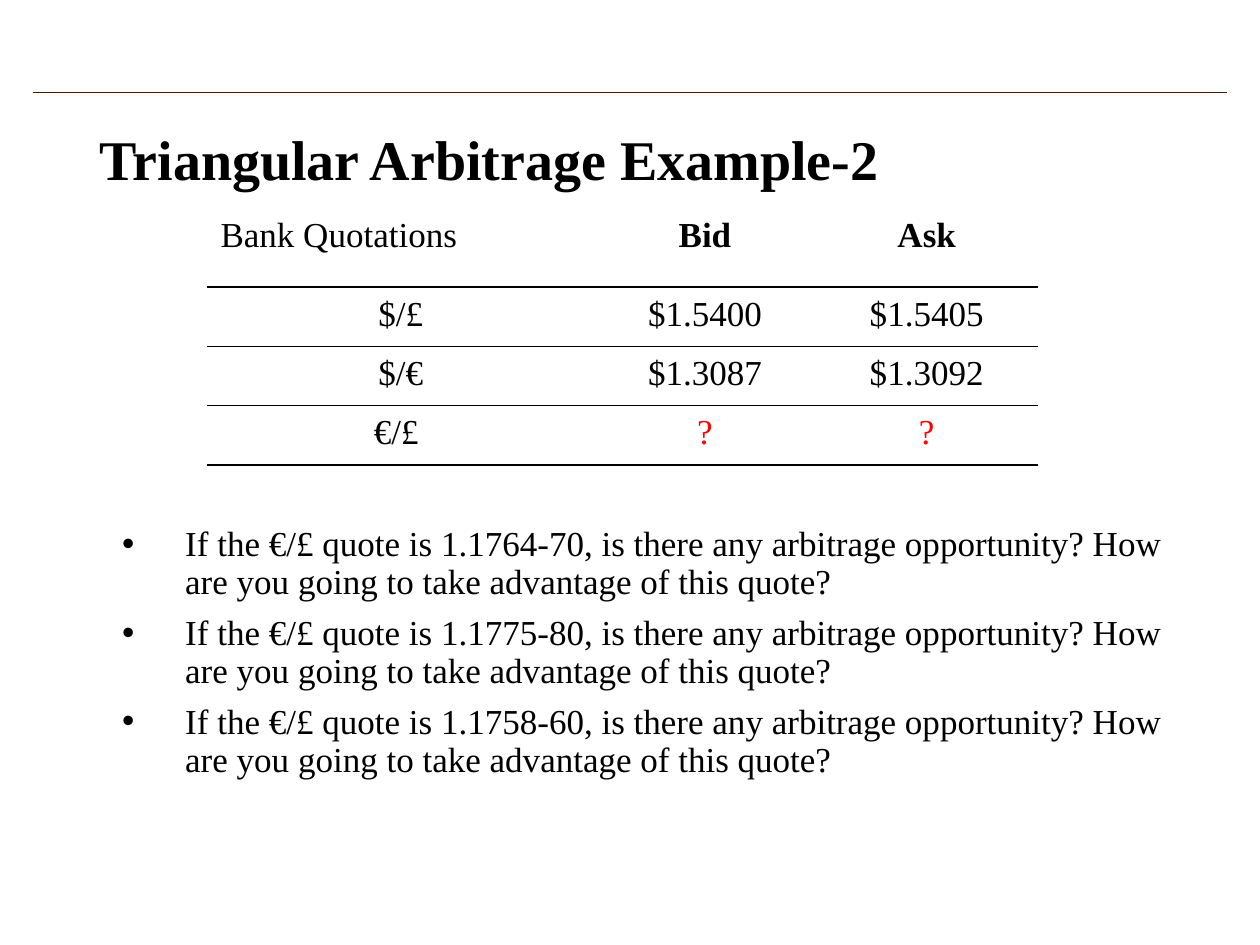
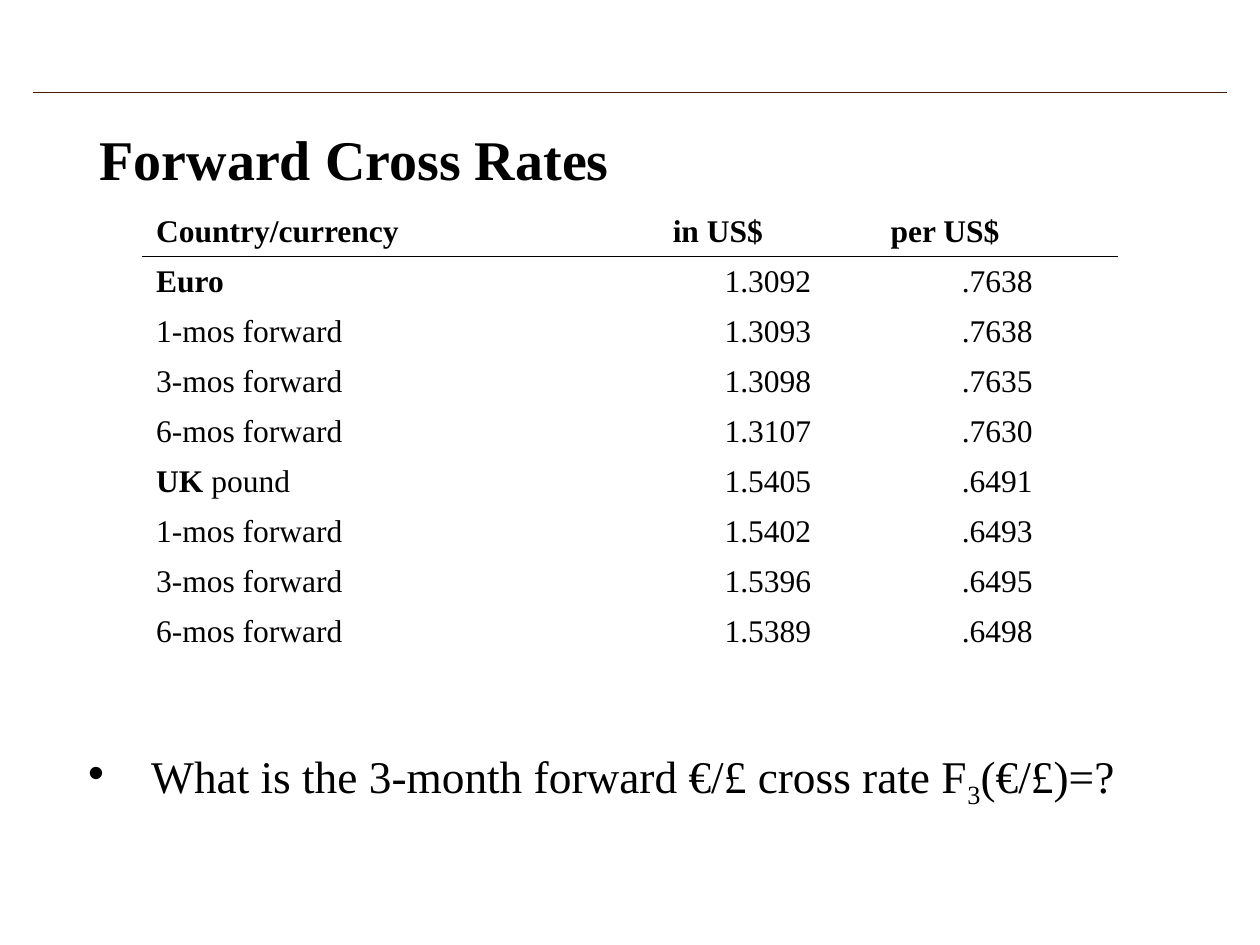
from lxml import etree
from pptx import Presentation
from pptx import util as u
from pptx.dml.color import RGBColor
from pptx.enum import shapes, text
from pptx.oxml.ns import qn

COLOURS = {"ink": "000000", "paper": "FFFFFF", "rule": "431801", "unknown": "FF0000"}
FONT = "Times New Roman"
LEFT, CENTRE = text.PP_ALIGN.LEFT, text.PP_ALIGN.CENTER


def colour(name):
    return RGBColor.from_string(COLOURS[name])


def place(item, box):
    item.left, item.top, item.width, item.height = map(u.Inches, box)


def write(para, content, size):
    """Fill a paragraph from a string or from (string, style) spans."""
    spans = [(content, "")] if isinstance(content, str) else content
    for words, style in spans:
        span = para.add_run()
        span.text = words
        font = span.font
        font.name, font.size, font.bold = FONT, u.Pt(size), style == "bold"
        font.color.rgb = colour("unknown" if style == "unknown" else "ink")
        if style == "subscript":
            font._element.set("baseline", "-25000")


def add_titled_page(deck, title):
    page = deck.slides.add_slide(deck.slide_layouts[1])
    page.background.fill.solid()
    page.background.fill.fore_color.rgb = colour("paper")

    rule = page.shapes.add_connector(
        shapes.MSO_CONNECTOR.STRAIGHT,
        *map(u.Inches, (0.26, 0.73, 9.74, 0.73)))
    rule.line.color.rgb = colour("rule")
    rule.line.width = u.Pt(0.5)
    etree.SubElement(rule._element.spPr, qn("a:effectLst"))

    place(page.shapes.title, (0.69, 0.85, 8.62, 0.87))
    frame = page.shapes.title.text_frame
    frame.auto_size = text.MSO_AUTO_SIZE.NONE
    frame.vertical_anchor = text.MSO_ANCHOR.MIDDLE
    para = frame.paragraphs[0]
    para.alignment, para.line_spacing = LEFT, 0.9
    write(para, [(title, "bold")], 32)
    return page


def fill_bullets(page, box, items, size):
    body = page.placeholders[1]
    place(body, box)
    frame = body.text_frame
    frame.auto_size = text.MSO_AUTO_SIZE.NONE
    for index, item in enumerate(items):
        para = frame.add_paragraph() if index else frame.paragraphs[0]
        para.line_spacing, para.space_before = 0.9, u.Pt(7.5)
        properties = para._p.get_or_add_pPr()
        properties.set("marL", str(u.Inches(0.5)))
        properties.set("indent", str(-u.Inches(0.5)))
        etree.SubElement(properties, qn("a:buFont"), typeface="Arial")
        etree.SubElement(properties, qn("a:buChar"), char="•")
        write(para, item, size)


def set_borders(cell, top, bottom):
    """Draw top and bottom edges in points; zero hides an edge."""
    properties = cell._tc.get_or_add_tcPr()
    for side, points in (("L", 0), ("R", 0), ("T", top), ("B", bottom)):
        edge = etree.SubElement(properties, qn(f"a:ln{side}"), w=str(u.Pt(points)))
        if points:
            solid = etree.SubElement(edge, qn("a:solidFill"))
            etree.SubElement(solid, qn("a:srgbClr"), val=COLOURS["ink"])
        else:
            etree.SubElement(edge, qn("a:noFill"))


def add_quote_table(page, corner, widths, heights, rows, edges, size, align):
    """Place a table; edges holds the rule weights from its top to its bottom."""
    box = (*corner, sum(widths), sum(heights))
    table = page.shapes.add_table(
        len(rows), len(widths), *map(u.Inches, box)).table
    table.first_row = table.horz_banding = False
    for column, width in zip(table.columns, widths):
        column.width = u.Inches(width)
    for r, contents in enumerate(rows):
        table.rows[r].height = u.Inches(heights[r])
        for c, content in enumerate(contents):
            cell = table.cell(r, c)
            set_borders(cell, edges[r], edges[r + 1])
            cell.fill.solid()
            cell.fill.fore_color.rgb = colour("paper")
            cell.margin_left = cell.margin_right = u.Inches(0.11)
            cell.margin_top = cell.margin_bottom = u.Inches(0.06)
            para = cell.text_frame.paragraphs[0]
            para.alignment = align(r, c)
            write(para, content, size)


def add_arbitrage_page(deck):
    page = add_titled_page(deck, "Triangular Arbitrage Example-2")
    unknown = [("?", "unknown")]
    rows = [
        ("Bank Quotations", [("Bid", "bold")], [("Ask", "bold")]),
        ("$/£", "$1.5400", "$1.5405"),
        ("$/€", "$1.3087", "$1.3092"),
        ("€/£ ", unknown, unknown),
    ]
    add_quote_table(
        page, (1.64, 1.66), (3.08, 1.75, 1.77), [0.62] + [0.47] * 3, rows,
        edges=(0, 1, 0.5, 0.5, 1), size=20,
        align=lambda r, c: LEFT if r == c == 0 else CENTRE)
    questions = [
        f"If the €/£ quote is {quote}, is there any arbitrage opportunity? "
        "How are you going to take advantage of this quote?"
        for quote in ("1.1764-70", "1.1775-80", "1.1758-60")]
    fill_bullets(page, (0.87, 4.13, 8.62, 2.6), questions, 20)


def add_forward_page(deck):
    page = add_titled_page(deck, "Forward Cross Rates")
    rates = [
        ([("Euro", "bold")],
         ("1.3092", "1.3093", "1.3098", "1.3107"),
         (".7638", ".7638", ".7635", ".7630")),
        ([("UK ", "bold"), ("pound", "")],
         ("1.5405", "1.5402", "1.5396", "1.5389"),
         (".6491", ".6493", ".6495", ".6498")),
    ]
    rows = [[[(head, "bold")] for head in ("Country/currency", "in US$", "per US$")]]
    for currency, in_dollars, per_dollar in rates:
        labels = [currency] + [f"{months}-mos forward" for months in (1, 3, 6)]
        rows += zip(labels, in_dollars, per_dollar)
    add_quote_table(
        page, (1.13, 1.64), (4.1, 1.73, 1.91), [0.39] * len(rows), rows,
        edges=[0, 1] + [0] * (len(rows) - 1), size=18,
        align=lambda r, c: CENTRE if r and c else LEFT)
    question = [("What is the 3-month forward €/£ cross rate F", ""),
                ("3", "subscript"), ("(€/£)=?", "")]
    fill_bullets(page, (0.6, 5.89, 8.92, 0.77), [question], 25.9)


def main():
    deck = Presentation()
    deck.slide_width, deck.slide_height = u.Inches(10), u.Inches(7.5)
    add_arbitrage_page(deck)
    add_forward_page(deck)
    deck.save("out.pptx")


if __name__ == "__main__":
    main()
